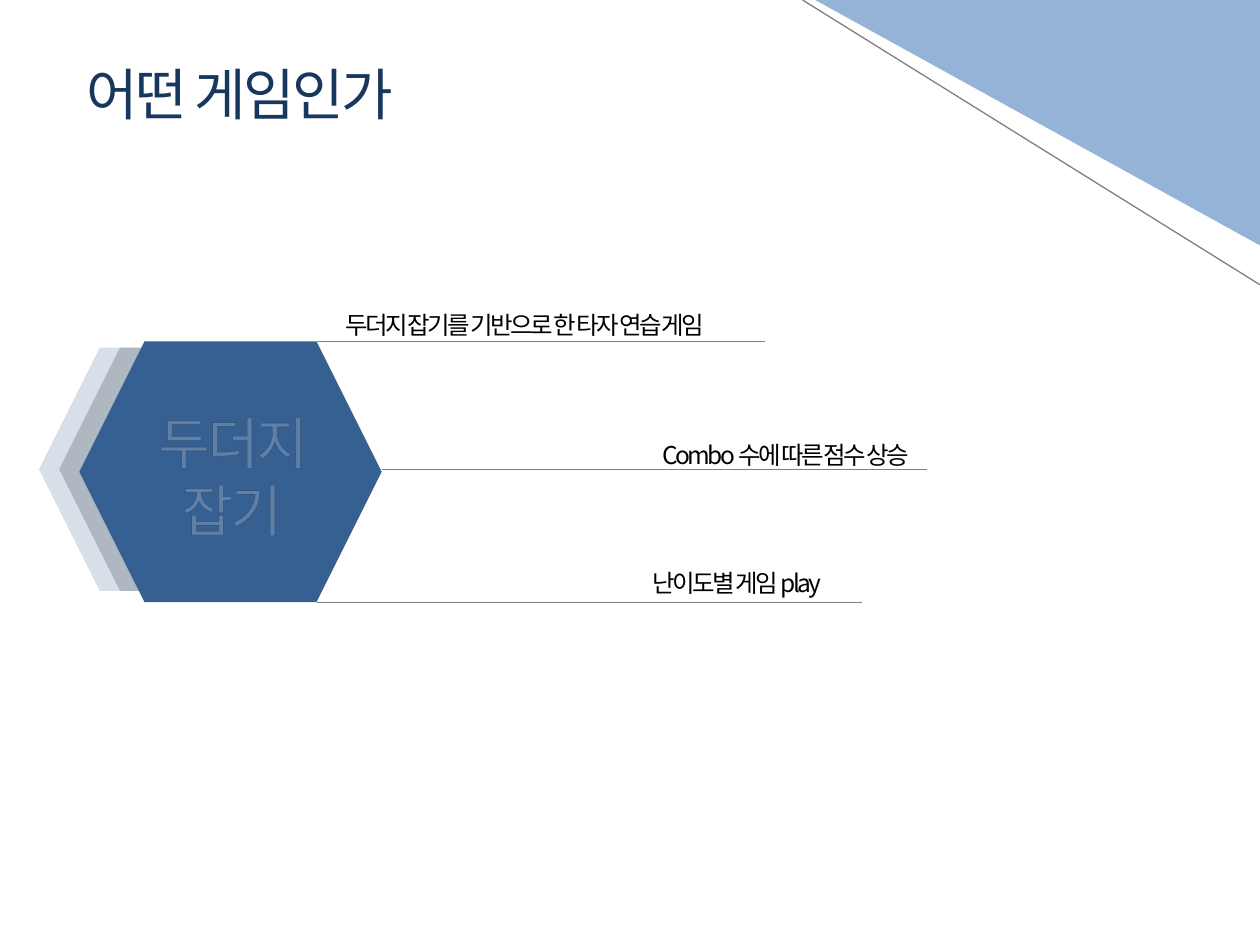
from lxml.etree import SubElement
from pptx import Presentation
from pptx.dml.color import RGBColor
from pptx.enum.shapes import MSO_CONNECTOR, MSO_SHAPE
from pptx.enum.text import PP_ALIGN
from pptx.oxml.ns import qn
from pptx.util import Inches, Pt

COLORS = {
    "navy": "17375E",
    "blue": "376092",
    "sky": "95B3D7",
    "gray": "808080",
    "black": "000000",
    "white": "FFFFFF",
}
FONT = "Noto Sans CJK KR"


def rgb(name):
    return RGBColor.from_string(COLORS[name])


def add_alpha(fill, percent):
    color = fill.find(".//" + qn("a:srgbClr"))
    SubElement(color, qn("a:alpha"), val=str(percent * 1000))


def add_text(slide, text, box, size=14, color="black", font=FONT, align=PP_ALIGN.LEFT):
    frame = slide.shapes.add_textbox(*map(Inches, box)).text_frame
    frame.word_wrap = True
    para = frame.paragraphs[0]
    para.alignment = align
    run = para.add_run()
    run.text = text
    run.font.size = Pt(size)
    run.font.color.rgb = rgb(color)
    run.font.name = font
    props = run._r.get_or_add_rPr()
    props.set("spc", "-150")
    SubElement(props, qn("a:ea"), typeface=font)
    edge = SubElement(props, qn("a:ln"), w=str(int(Pt(0.75))))
    props.insert(0, edge)
    solid = SubElement(edge, qn("a:solidFill"))
    SubElement(solid, qn("a:srgbClr"), val=COLORS["black"])
    add_alpha(edge, 20)


def add_shape(slide, kind, box, color, alpha=None):
    shape = slide.shapes.add_shape(kind, *map(Inches, box))
    shape.shadow.inherit = False
    shape.fill.solid()
    shape.fill.fore_color.rgb = rgb(color)
    shape.line.fill.background()
    if alpha:
        add_alpha(shape._element.spPr, alpha)
    return shape


def add_line(slide, start, end):
    line = slide.shapes.add_connector(
        MSO_CONNECTOR.STRAIGHT, *map(Inches, (*start, *end))
    )
    line.line.color.rgb = rgb("gray")
    line.line.width = Pt(0.75)
    SubElement(line._element.spPr, qn("a:effectLst"))


def add_corner(slide, box):
    left, top, width, height = box
    shape = add_shape(slide, MSO_SHAPE.RIGHT_TRIANGLE, box, "sky")
    shape.rotation = 180
    add_line(slide, (left - 0.1, top), (10, top + height + 0.29))


def add_topic(slide, text, box):
    left, top, width, height = box
    for shift, color, alpha in ((0.16, "gray", 39), (0.32, "blue", 20)):
        back = (left - shift, top + 0.05, width - 0.16, height - 0.14)
        add_shape(slide, MSO_SHAPE.HEXAGON, back, color, alpha)
    add_shape(slide, MSO_SHAPE.HEXAGON, box, "blue")
    add_text(
        slide, text, (left + 0.46, top + 0.48, 1.5, 1.18),
        size=32, color="white", font="Arial", align=PP_ALIGN.CENTER,
    )


def add_points(slide, points, box):
    left, top, width, height = box
    inset = height / 4
    rows = (
        (left + width - inset, top),
        (left + width, top + height / 2 - 0.02),
        (left + width - inset, top + height),
    )
    for (text, label, end), (start, base) in zip(points, rows):
        add_line(slide, (start, base), (end, base))
        add_text(slide, text, (*label, 0.34))


def main():
    deck = Presentation()
    deck.slide_width, deck.slide_height = Inches(10), Inches(7.5)
    slide = deck.slides.add_slide(deck.slide_layouts[6])
    topic = (0.63, 2.71, 2.4, 2.07)
    points = (
        ("두더지 잡기를 기반으로 한 타자 연습 게임", (2.64, 2.41, 3.78), 6.07),
        ("Combo 수에 따른 점수 상승", (5.16, 3.44, 2.28), 7.36),
        ("난이도별 게임 play", (5.08, 4.46, 1.73), 6.84),
    )
    add_points(slide, points, topic)
    add_topic(slide, "두더지잡기", topic)
    add_corner(slide, (6.47, 0, 3.57, 1.97))
    add_text(slide, "어떤 게임인가", (0.59, 0.42, 4.96, 0.64), size=32, color="navy")
    deck.save("out.pptx")


if __name__ == "__main__":
    main()
